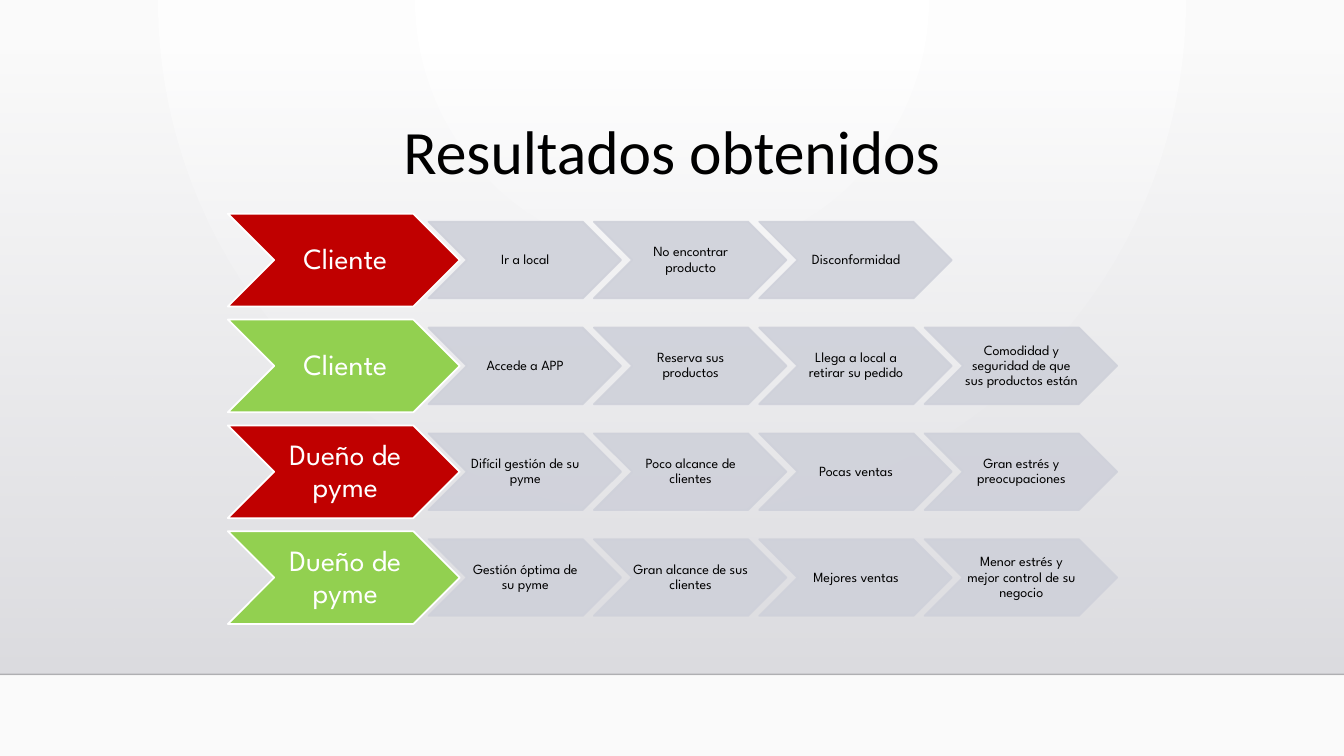
from dataclasses import dataclass

import pptx
import pptx.dml.color
import pptx.enum.dml
import pptx.enum.shapes
import pptx.enum.text
import pptx.oxml
import pptx.oxml.ns
import pptx.util
from lxml import etree

Inches = pptx.util.Inches
Pt = pptx.util.Pt
SHAPE = pptx.enum.shapes.MSO_SHAPE
ALIGN = pptx.enum.text.PP_ALIGN
ANCHOR = pptx.enum.text.MSO_ANCHOR

COLORS = {
    "black": "000000",
    "white": "FFFFFF",
    "paper": "FAFAFA",
    "haze_top": "DCDCE0",
    "haze_bottom": "DEDEE2",
    "before": "C00000",
    "after": "92D050",
    "step": "CFD1DA",
}
FIRST_CENTER = 2.58
ROW_PITCH = 1.05
HEAD_LEFT = 2.26
STEP_LEFT = 4.25
STEP_PITCH = 1.64
FLOOR = 6.69


@dataclass
class Style:
    width: float
    height: float
    line: str
    text: str
    size: float
    inset: float
    alpha: int = 100


@dataclass
class Journey:
    who: str
    color: str
    steps: list[str]


HEAD = Style(2.3, 0.92, "white", "white", 21, 0.03)
STEP = Style(1.91, 0.76, "step", "black", 10, 0.01, 90)

JOURNEYS = [
    Journey("Cliente", "before",
            ["Ir a local", "No encontrar producto", "Disconformidad"]),
    Journey("Cliente", "after",
            ["Accede a APP", "Reserva sus productos",
             "Llega a local a retirar su pedido",
             "Comodidad y seguridad de que sus productos están"]),
    Journey("Dueño de pyme", "before",
            ["Difícil gestión de su pyme", "Poco alcance de clientes",
             "Pocas ventas", "Gran estrés y preocupaciones"]),
    Journey("Dueño de pyme", "after",
            ["Gestión óptima de su pyme", "Gran alcance de sus clientes",
             "Mejores ventas", "Menor estrés y mejor control de su negocio"]),
]


def rgb(name: str) -> pptx.dml.color.RGBColor:
    return pptx.dml.color.RGBColor.from_string(COLORS[name])


def set_values(target: object, values: dict) -> None:
    for name, value in values.items():
        setattr(target, name, value)


def set_alpha(element: etree.ElementBase, percent: int) -> None:
    for color in element.xpath(".//a:srgbClr"):
        alpha = etree.SubElement(color, pptx.oxml.ns.qn("a:alpha"))
        alpha.set("val", str(percent * 1000))


def set_gradient(fill: pptx.dml.fill.FillFormat, names: list[str]) -> None:
    fill.gradient()
    fill.gradient_angle = 270
    for i, (stop, name) in enumerate(zip(fill.gradient_stops, names)):
        stop.position = i
        stop.color.rgb = rgb(name)


def set_text(tf: pptx.text.text.TextFrame, text: str, frame: dict, font: dict, color: str) -> None:
    set_values(tf, {"word_wrap": True, **frame})
    p = tf.paragraphs[0]
    p.alignment = ALIGN.CENTER
    r = p.add_run()
    r.text = text
    set_values(r.font, font)
    r.font.color.rgb = rgb(color)


def add_backdrop(s: pptx.slide.Slide, width: int) -> None:
    set_gradient(s.background.fill, ["white", "paper"])
    grad = s.element.xpath("./p:cSld/p:bg//a:gradFill")[0]
    grad.replace(grad.xpath("./a:lin")[0], pptx.oxml.parse_xml(
        f'<a:path {pptx.oxml.ns.nsdecls("a")} path="circle">'
        '<a:fillToRect l="43000" t="0" r="43000" b="100000"/></a:path>'))

    haze = s.shapes.add_shape(SHAPE.RECTANGLE, 0, Inches(0.51), width, Inches(FLOOR - 0.51))
    haze.shadow.inherit = False
    haze.line.fill.background()
    set_gradient(haze.fill, ["haze_top", "haze_bottom"])
    set_alpha(haze.element.xpath(".//a:gs")[0], 0)

    floor = s.shapes.add_connector(
        pptx.enum.shapes.MSO_CONNECTOR.STRAIGHT, 0, Inches(FLOOR), width, Inches(FLOOR))
    floor.line.color.rgb = rgb("black")
    floor.line.width = Pt(1)
    sp_pr = floor.element.spPr
    set_alpha(sp_pr, 20)
    etree.SubElement(sp_pr, pptx.oxml.ns.qn("a:effectLst"))


def add_title(s: pptx.slide.Slide, text: str, width: int) -> None:
    title = s.shapes.title
    s.shapes.element.append(title.element)
    set_values(title, {"left": 0, "top": Inches(1.07), "width": width, "height": Inches(0.84)})
    set_text(title.text_frame, text, {"vertical_anchor": ANCHOR.TOP},
             {"name": "Calibri", "size": Pt(44)}, "black")


def add_chevron(s: pptx.slide.Slide, left: float, center: float, text: str,
                fill: str, style: Style) -> None:
    sp = s.shapes.add_shape(SHAPE.CHEVRON, Inches(left), Inches(center - style.height / 2),
                            Inches(style.width), Inches(style.height))
    sp.shadow.inherit = False
    sp.fill.solid()
    sp.fill.fore_color.rgb = rgb(fill)
    sp.line.color.rgb = rgb(style.line)
    sp.line.width = Pt(1.25)
    if style.alpha < 100:
        set_alpha(sp.element.spPr, style.alpha)
    frame = {"vertical_anchor": ANCHOR.MIDDLE, "margin_left": Inches(style.inset),
             "margin_right": 0, "margin_top": Inches(0.01), "margin_bottom": Inches(0.01)}
    set_text(sp.text_frame, text, frame,
             {"name": "League Spartan", "size": Pt(style.size)}, style.text)
    sp.text_frame.paragraphs[0].line_spacing = 0.9


def main() -> None:
    prs = pptx.Presentation()
    set_values(prs, {"slide_width": Inches(13.33), "slide_height": Inches(7.5)})
    s = prs.slides.add_slide(prs.slide_layouts[5])
    add_backdrop(s, prs.slide_width)
    add_title(s, "Resultados obtenidos", prs.slide_width)
    for row, journey in enumerate(JOURNEYS):
        center = FIRST_CENTER + row * ROW_PITCH
        add_chevron(s, HEAD_LEFT, center, journey.who, journey.color, HEAD)
        for i, step in enumerate(journey.steps):
            add_chevron(s, STEP_LEFT + i * STEP_PITCH, center, step, "step", STEP)
    prs.save("out.pptx")


if __name__ == "__main__":
    main()
